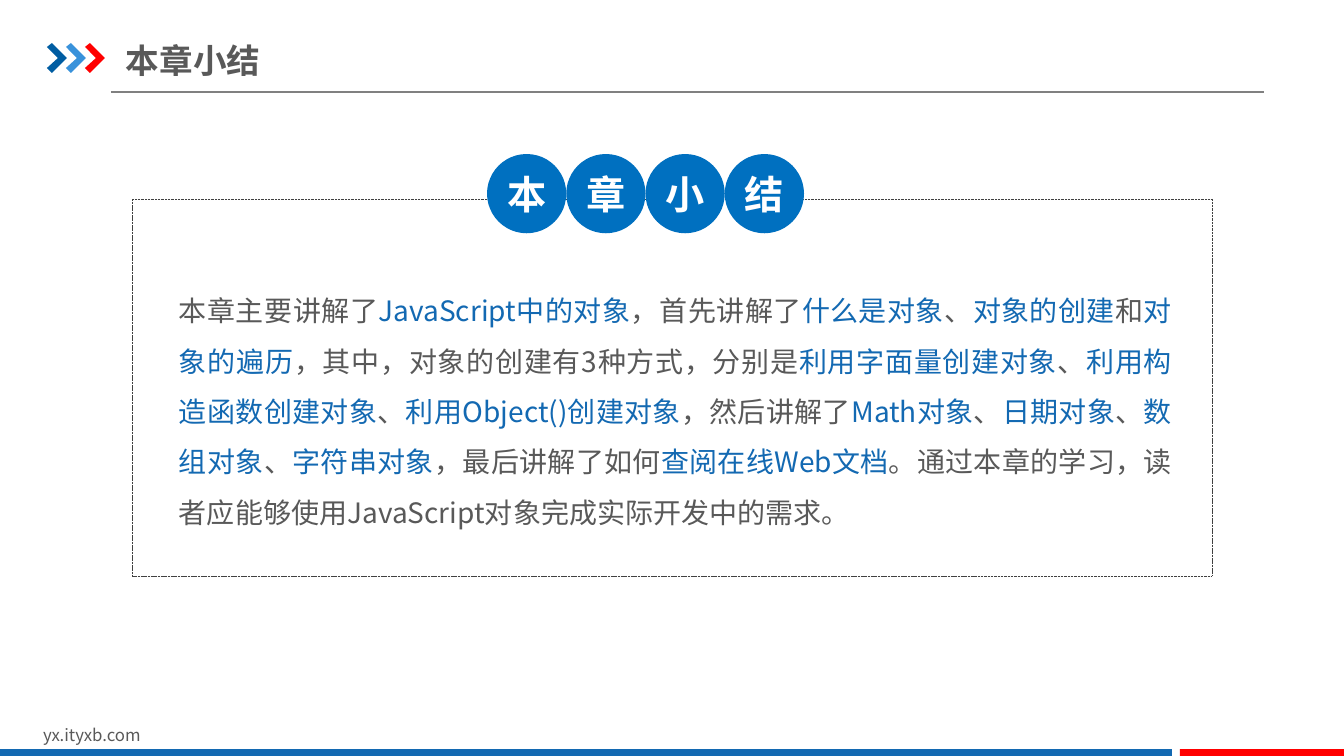
from lxml import etree
from pptx import Presentation
from pptx import util as u
from pptx.dml.color import RGBColor
from pptx.enum import dml, shapes, text
from pptx.oxml.ns import qn

FONT = "Noto Sans CJK SC"
GREY, BLUE, RED, WHITE = "595959", "1369B2", "FF0000", "FFFFFF"
TITLE = "本章小结"
SITE = "yx.ityxb.com"
SUMMARY = [
    ("本章主要讲解了", GREY), ("JavaScript中的对象", BLUE),
    ("，首先讲解了", GREY), ("什么是对象", BLUE),
    ("、", GREY), ("对象的创建", BLUE),
    ("和", GREY), ("对象的遍历", BLUE),
    ("，其中，对象的创建有3种方式，分别是", GREY), ("利用字面量创建对象", BLUE),
    ("、", GREY), ("利用构造函数创建对象", BLUE),
    ("、", GREY), ("利用Object()创建对象", BLUE),
    ("，然后讲解了", GREY), ("Math对象", BLUE),
    ("、", GREY), ("日期对象", BLUE),
    ("、", GREY), ("数组对象", BLUE),
    ("、", GREY), ("字符串对象", BLUE),
    ("，最后讲解了如何", GREY), ("查阅在线Web文档", BLUE),
    ("。通过本章的学习，读者应能够使用JavaScript对象完成实际开发中的需求。", GREY),
]
CHEVRON_COLOURS = ["005DA2", "3992DB", RED]
CHEVRON_POINTS = [(0, 4), (5, 0), (20, 15), (5, 30), (0, 25), (11, 15)]
CHEVRON_LEFT, CHEVRON_TOP, CHEVRON_STEP = 47, 43, 19
FOOTER_BARS = [(0, 1172, BLUE), (1180, 164, RED)]
FOOTER_TOP, FOOTER_HEIGHT = 749, 9
BADGES_LEFT, BADGES_TOP, BADGES_WIDTH = 487, 154, 317
SCALE = 914400 / 100.8


def px(length):
    return u.Emu(round(length * SCALE))


def colour(value):
    return RGBColor.from_string(value)


def paint(shape, fill):
    shape.shadow.inherit = False
    shape.fill.solid()
    shape.fill.fore_color.rgb = colour(fill)
    shape.line.fill.background()


def add_shape(slide, kind, *box):
    return slide.shapes.add_shape(kind, *map(px, box))


def style(paragraph, size, value, bold=False):
    font = paragraph.font
    font.size, font.bold, font.name = u.Pt(size), bold, FONT
    font.color.rgb = colour(value)
    latin = paragraph._p.find(".//" + qn("a:latin"))
    east_asian = etree.Element(qn("a:ea"), typeface=FONT)
    latin.addnext(east_asian)


def set_frame(shape, anchor, left=0, top=0):
    frame = shape.text_frame
    frame.word_wrap = True
    frame.vertical_anchor = anchor
    frame.margin_left = frame.margin_right = px(left)
    frame.margin_top = frame.margin_bottom = px(top)
    return frame.paragraphs[0]


def add_header(slide):
    rule = slide.shapes.add_connector(
        shapes.MSO_CONNECTOR.STRAIGHT, px(111), px(92), px(1264), px(92))
    rule.line.color.rgb = colour("808080")
    rule.line.width = u.Pt(0.75)
    etree.SubElement(rule._element.spPr, qn("a:effectLst"))

    for index, fill in enumerate(CHEVRON_COLOURS):
        left = CHEVRON_LEFT + index * CHEVRON_STEP
        points = [(left + x, CHEVRON_TOP + y) for x, y in CHEVRON_POINTS]
        builder = slide.shapes.build_freeform(*points[0], scale=SCALE)
        builder.add_line_segments(points[1:], close=True)
        paint(builder.convert_to_shape(), fill)

    title = slide.shapes.title
    title.left, title.top, title.width, title.height = map(px, (126, 36, 530, 48))
    paragraph = set_frame(title, text.MSO_ANCHOR.MIDDLE, top=7)
    paragraph.text = TITLE
    paragraph.alignment = text.PP_ALIGN.LEFT
    style(paragraph, 24, GREY, bold=True)


def add_footer(slide):
    site = slide.shapes.add_textbox(*map(px, (33, 720, 321, 30)))
    paragraph = set_frame(site, text.MSO_ANCHOR.TOP, left=10, top=5)
    paragraph.text = SITE
    style(paragraph, 12, GREY)
    for left, width, fill in FOOTER_BARS:
        bar = add_shape(slide, shapes.MSO_SHAPE.RECTANGLE,
                        left, FOOTER_TOP, width, FOOTER_HEIGHT)
        paint(bar, fill)


def add_summary(slide):
    border = add_shape(slide, shapes.MSO_SHAPE.ROUNDED_RECTANGLE, 132, 199, 1080, 377)
    border.adjustments[0] = 0
    border.shadow.inherit = False
    border.fill.background()
    border.line.color.rgb = colour("404040")
    border.line.width = u.Pt(0.25)
    border.line.dash_style = dml.MSO_LINE.SQUARE_DOT

    body = slide.shapes.add_textbox(*map(px, (179, 277, 993, 254)))
    paragraph = set_frame(body, text.MSO_ANCHOR.TOP)
    paragraph.alignment = text.PP_ALIGN.JUSTIFY
    paragraph.line_spacing = 1.5
    style(paragraph, 20, GREY)
    for words, value in SUMMARY:
        run = paragraph.add_run()
        run.text = words
        run.font.color.rgb = colour(value)


def add_badges(slide):
    size = BADGES_WIDTH / len(TITLE)
    for index, character in enumerate(TITLE):
        badge = add_shape(slide, shapes.MSO_SHAPE.OVAL,
                          BADGES_LEFT + index * size, BADGES_TOP, size, size)
        paint(badge, "0070C0")
        paragraph = set_frame(badge, text.MSO_ANCHOR.MIDDLE)
        paragraph.text = character
        paragraph.alignment = text.PP_ALIGN.CENTER
        style(paragraph, 28, WHITE, bold=True)


def main():
    """Build the chapter summary slide."""
    presentation = Presentation()
    presentation.slide_width, presentation.slide_height = px(1344), px(756)
    slide = presentation.slides.add_slide(presentation.slide_layouts[5])
    add_header(slide)
    add_footer(slide)
    add_summary(slide)
    add_badges(slide)
    presentation.save("out.pptx")


if __name__ == "__main__":
    main()
